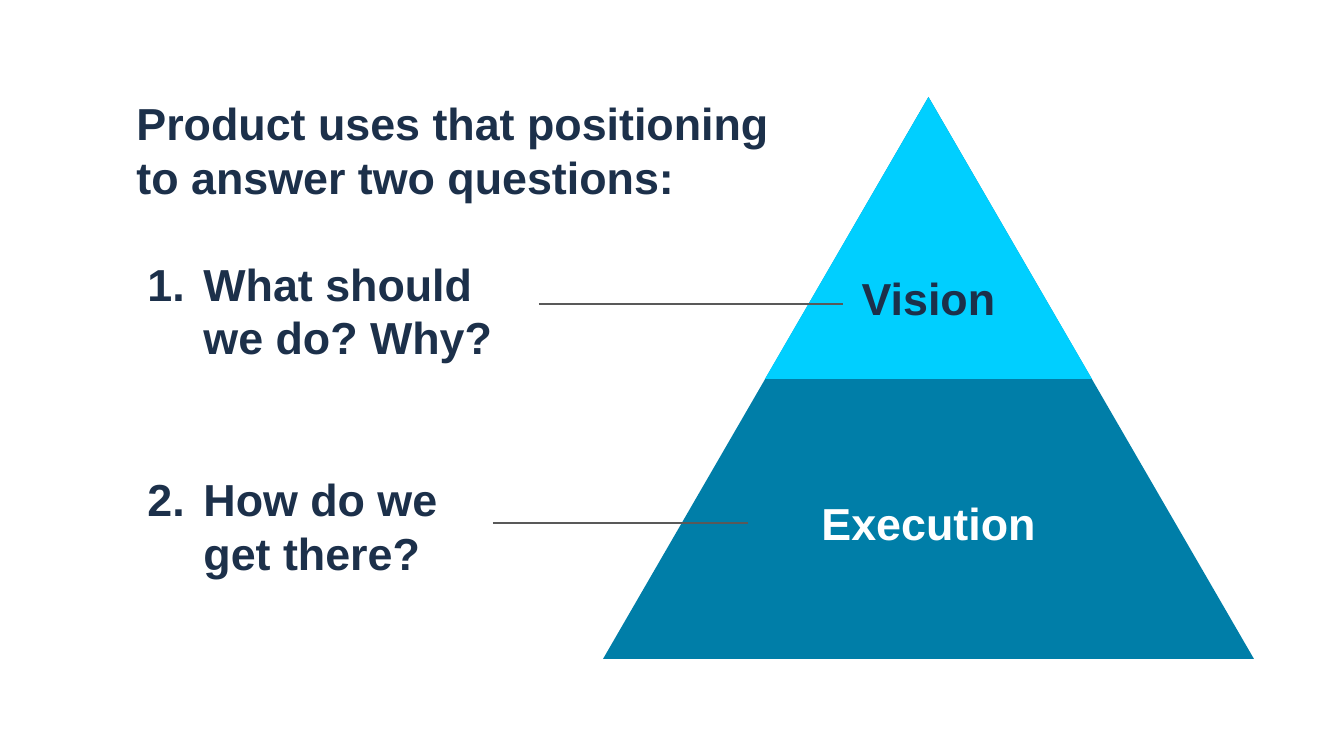
from dataclasses import dataclass

from lxml import etree
from pptx import Presentation
from pptx.dml.color import RGBColor
from pptx.enum import shapes, text
from pptx.oxml.ns import qn
from pptx.util import Emu, Pt

SCALE = 914400 / 134.4  # EMU per px


@dataclass(frozen=True)
class Theme:
    font: str = "Arial"
    size: float = 24
    leading: float = 28.8
    line_width: float = 0.75
    ink: str = "1C304A"
    light: str = "FFFFFF"
    base: str = "007EA8"
    peak: str = "00CFFF"
    rule: str = "595959"


THEME = Theme()


def px(value):
    return Emu(round(value * SCALE))


def rgb(value):
    return RGBColor.from_string(value)


def prepare_frame(holder, box):
    """Place a text holder and return its top-anchored, empty frame."""
    holder.left, holder.top, holder.width, holder.height = map(px, box)
    frame = holder.text_frame
    frame.word_wrap = True
    frame.auto_size = text.MSO_AUTO_SIZE.NONE
    frame.vertical_anchor = text.MSO_ANCHOR.TOP
    frame.margin_left = frame.margin_right = Pt(7.2)
    frame.margin_top = frame.margin_bottom = Pt(7.2)
    return frame


def write(paragraph, lines, color=THEME.ink, align=text.PP_ALIGN.LEFT, before=0):
    paragraph.alignment = align
    paragraph.line_spacing = Pt(THEME.leading)
    paragraph.space_before = Pt(before)
    paragraph.space_after = Pt(0)
    for index, line in enumerate(lines):
        if index:
            paragraph.add_line_break()
        run = paragraph.add_run()
        run.text = line
        run.font.name = THEME.font
        run.font.size = Pt(THEME.size)
        run.font.bold = True
        run.font.color.rgb = rgb(color)


def number(paragraph):
    """Turn a paragraph into a numbered item with a hanging indent."""
    props = paragraph._p.get_or_add_pPr()
    props.set("marL", str(px(67)))
    props.set("indent", str(-px(56)))
    color = etree.SubElement(props, qn("a:buClr"))
    etree.SubElement(color, qn("a:srgbClr"), val=THEME.ink)
    etree.SubElement(props, qn("a:buFont"), typeface=THEME.font)
    etree.SubElement(props, qn("a:buAutoNum"), type="arabicPeriod")


def add_triangle(slide, box, color):
    triangle = slide.shapes.add_shape(
        shapes.MSO_SHAPE.ISOSCELES_TRIANGLE, *map(px, box))
    triangle.shadow.inherit = False
    triangle.fill.solid()
    triangle.fill.fore_color.rgb = rgb(color)
    triangle.line.fill.background()


def add_label(slide, box, caption, color):
    label = slide.shapes.add_textbox(*map(px, box))
    frame = prepare_frame(label, box)
    write(frame.paragraphs[0], [caption], color, text.PP_ALIGN.CENTER)


def add_rule(slide, start, end, y):
    rule = slide.shapes.add_connector(
        shapes.MSO_CONNECTOR.STRAIGHT, px(start), px(y), px(end), px(y))
    rule.line.color.rgb = rgb(THEME.rule)
    rule.line.width = Pt(THEME.line_width)
    etree.SubElement(rule._element.spPr, qn("a:effectLst"))


def main():
    deck = Presentation()
    deck.slide_width, deck.slide_height = px(1344), px(756)
    slide = deck.slides.add_slide(deck.slide_layouts[1])

    # Pyramid: the peak shares its apex with the base
    add_triangle(slide, (603, 97, 651, 562), THEME.base)
    add_triangle(slide, (765, 97, 327, 282), THEME.peak)
    add_label(slide, (808, 257, 241, 93), "Vision", THEME.ink)
    add_label(slide, (808, 482, 241, 93), "Execution", THEME.light)

    # Lead-in sentence
    heading = prepare_frame(slide.shapes.title, (123, 82, 700, 134))
    write(heading.paragraphs[0],
          ["Product uses that positioning to answer two questions:"])

    # Numbered questions, two lines apart
    body = prepare_frame(slide.placeholders[1], (123, 243, 700, 432))
    questions = [("What should ", "we do? Why?"), ("How do we ", "get there?")]
    for index, lines in enumerate(questions):
        item = body.add_paragraph() if index else body.paragraphs[0]
        number(item)
        write(item, lines, before=2 * THEME.leading * index)

    # Rules from each question to its pyramid level
    add_rule(slide, 539, 843, 304)
    add_rule(slide, 493, 748, 523)

    deck.save("out.pptx")


if __name__ == "__main__":
    main()
